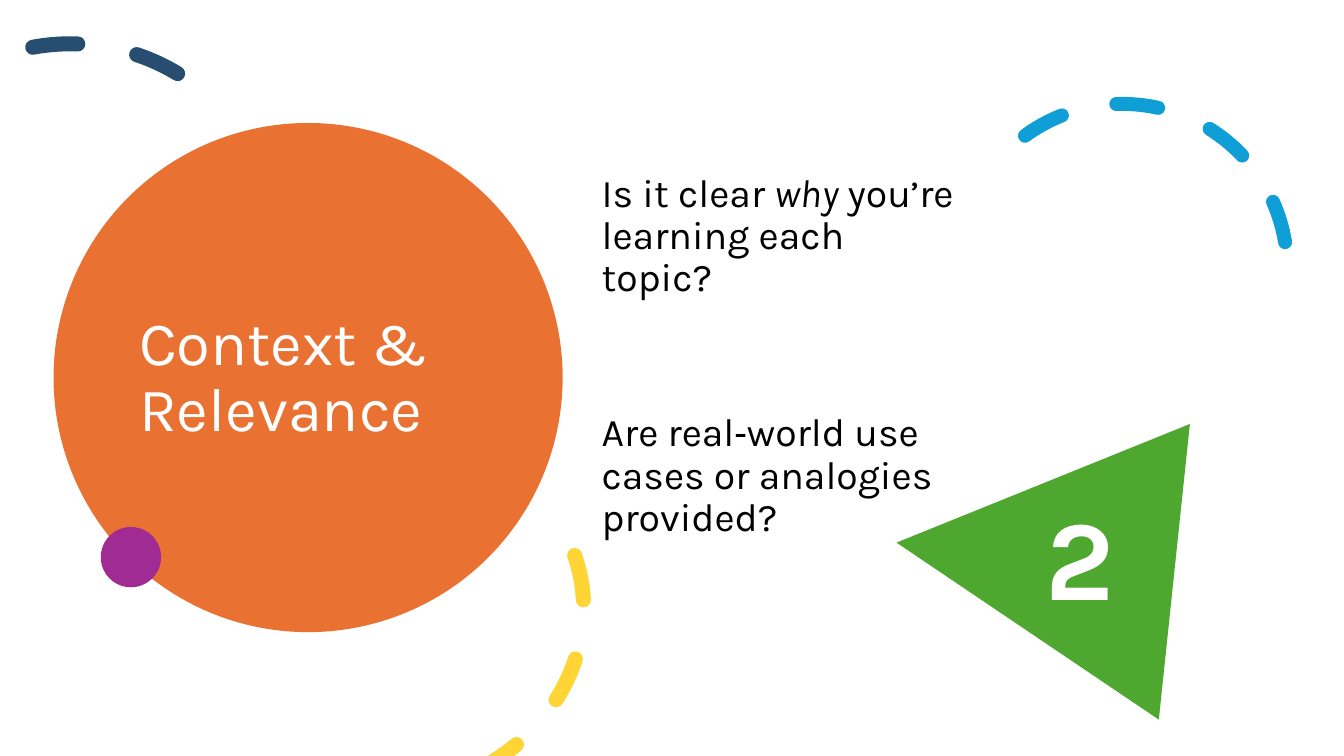
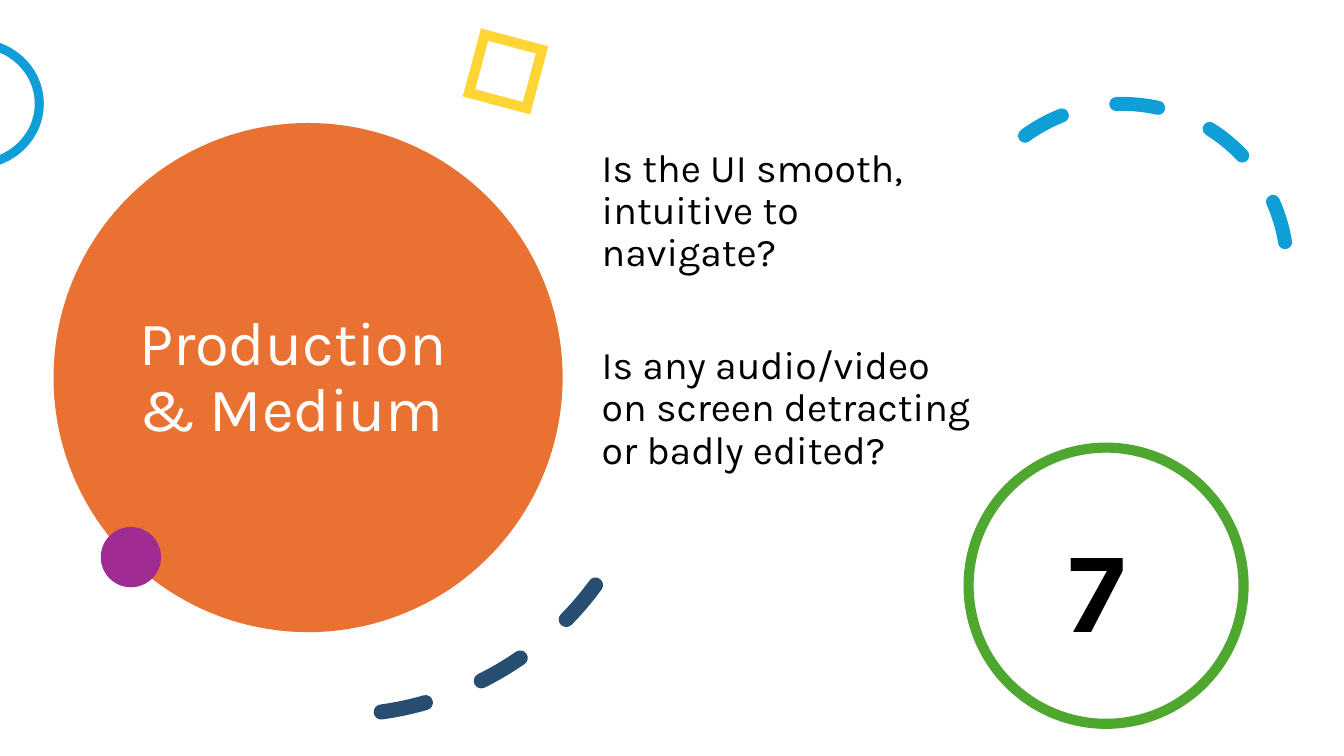
import pptx
import pptx.util
import pptx.dml.color
import pptx.enum.shapes
import pptx.enum.text
import pptx.enum.dml
import pptx.oxml.ns
import lxml.etree

Cm = pptx.util.Cm
Pt = pptx.util.Pt
KIND = pptx.enum.shapes.MSO_SHAPE
MID = pptx.enum.text.MSO_ANCHOR.MIDDLE
TOP = pptx.enum.text.MSO_ANCHOR.TOP
LEFT = pptx.enum.text.PP_ALIGN.LEFT
FIXED = pptx.enum.text.MSO_AUTO_SIZE.NONE
DASH = pptx.enum.dml.MSO_LINE.DASH

HUES = {
    "orange": "E97132", "purple": "A02B93", "blue": "0F9ED5",
    "green": "4EA72E", "yellow": "FFD535", "navy": "274E70",
    "white": "FFFFFF", "black": "000000",
}
FONTS = {
    "title": {"name": "Karla", "size": Pt(44)},
    "body": {"name": "Karla", "size": Pt(28)},
    "digit": {"name": "Karla", "size": Pt(81.4), "bold": True},
}
FRAME = {"word_wrap": True, "auto_size": FIXED}
TITLE = (3.25, 3.89, 8.99, 11.3)

DISC = {"kind": KIND.OVAL, "at": (1.35, 3.1, 12.83, 12.83), "fill": "orange"}
SHARED = [
    {"kind": KIND.ARC, "at": (24.13, 2.62, 8.31, 8.31), "turn": 330.2,
     "ends": (158.17, 17.81), "line": ("blue", 10)},
    {"kind": KIND.OVAL, "at": (2.54, 13.28, 1.52, 1.52), "fill": "purple"},
]
SLIDES = [
    {
        "title": "Context & Relevance",
        "body": [
            [("Is it clear ", False), ("why", True),
             (" you’re learning each topic?", False)],
            [("Are real‑world use cases or analogies provided?", False)],
        ],
        "area": (14.91, 4.24, 9.42, 14.25),
        "gap": 80.4,
        "digit": ("2", "white", (26.11, 12.67, 5.69, 3.28)),
        "decor": [
            {"kind": KIND.ISOSCELES_TRIANGLE, "at": (22.35, 10.52, 7.49, 7.04),
             "turn": 276, "fill": "green"},
            {"kind": KIND.ARC, "at": (5.66, 10.82, 8.64, 9.55), "turn": 70.5,
             "ends": (162, 23.93), "line": ("yellow", 10.75)},
            {"kind": KIND.ARC, "at": (-2.39, 0.66, 8.64, 9.55), "turn": 279.7,
             "ends": (162, 23.93), "line": ("navy", 10.75)},
        ],
    },
    {
        "title": "Production & Medium",
        "body": [
            [("Is the UI smooth, intuitive to navigate?", False)],
            [("Is any audio/video on screen detracting or badly edited?", False)],
        ],
        "area": (14.91, 3.61, 9.93, 10.11),
        "gap": 50.2,
        "digit": ("7", "black", (26.67, 13.46, 5.69, 3.28)),
        "decor": [
            {"kind": KIND.RECTANGLE, "at": (11.99, 1.04, 1.5, 1.52),
             "turn": 14.9, "line": ("yellow", 7.25)},
            {"kind": KIND.ARC, "at": (3.07, 4.45, 12.45, 14.33), "turn": 65.1,
             "ends": (194.16, 20.63), "line": ("navy", 10.75)},
            {"kind": KIND.OVAL, "at": (-2.21, 1.09, 3.2, 3.05),
             "line": ("blue", 6.5)},
            {"kind": KIND.OVAL, "at": (24.41, 11.28, 6.93, 6.96),
             "line": ("green", 7.25)},
        ],
    },
]


def apply(item, values):
    for name, value in values.items():
        setattr(item, name, value)


def color(name):
    return pptx.dml.color.RGBColor.from_string(HUES[name])


def place(shape, at):
    apply(shape, dict(zip(("left", "top", "width", "height"), map(Cm, at))))


def draw(slide, part):
    shape = slide.shapes.add_shape(part["kind"], *map(Cm, part["at"]))
    shape.shadow.inherit = False
    shape.rotation = part.get("turn", 0)
    for index, end in enumerate(part.get("ends", ())):
        shape.adjustments[index] = end
    if "fill" in part:
        shape.fill.solid()
        shape.fill.fore_color.rgb = color(part["fill"])
    else:
        shape.fill.background()
    if "line" not in part:
        shape.line.fill.background()
        return shape
    hue, width = part["line"]
    shape.line.color.rgb = color(hue)
    shape.line.width = Pt(width)
    edge = shape._element.spPr.find(pptx.oxml.ns.qn("a:ln"))
    if "ends" in part:
        shape.line.dash_style = DASH
        edge.set("cap", "rnd")
    else:
        miter = lxml.etree.SubElement(edge, pptx.oxml.ns.qn("a:miter"))
        miter.set("lim", "800000")
    return shape


def write(shape, paras, style, hue, space, anchor, gaps):
    frame = shape.text_frame
    apply(frame, FRAME | {"vertical_anchor": anchor})
    for index, (runs, gap) in enumerate(zip(paras, gaps)):
        para = frame.add_paragraph() if index else frame.paragraphs[0]
        apply(para, {"alignment": LEFT, "line_spacing": space,
                     "space_before": Pt(gap)})
        for text, slant in runs:
            run = para.add_run()
            run.text = text
            apply(run.font, FONTS[style] | {"italic": slant})
            run.font.color.rgb = color(hue)


def plain(shape):
    for para in shape.text_frame.paragraphs:
        props = para._p.get_or_add_pPr()
        props.set("marL", "0")
        props.set("indent", "0")
        lxml.etree.SubElement(props, pptx.oxml.ns.qn("a:buNone"))


deck = pptx.Presentation()
apply(deck, {"slide_width": Cm(33.87), "slide_height": Cm(19.05)})
for data in SLIDES:
    slide = deck.slides.add_slide(deck.slide_layouts[1])
    title, body = slide.placeholders
    disc = draw(slide, DISC)
    title._element.addprevious(disc._element)
    place(title, TITLE)
    write(title, [[(data["title"], False)]], "title", "white", 0.9, MID, [0])
    place(body, data["area"])
    write(body, data["body"], "body", "black", 0.9, TOP, [10, data["gap"]])
    plain(body)
    for part in SHARED + data["decor"]:
        draw(slide, part)
    text, hue, at = data["digit"]
    box = slide.shapes.add_textbox(*map(Cm, at))
    write(box, [[(text, False)]], "digit", hue, 0.8, MID, [0])
deck.save("out.pptx")
